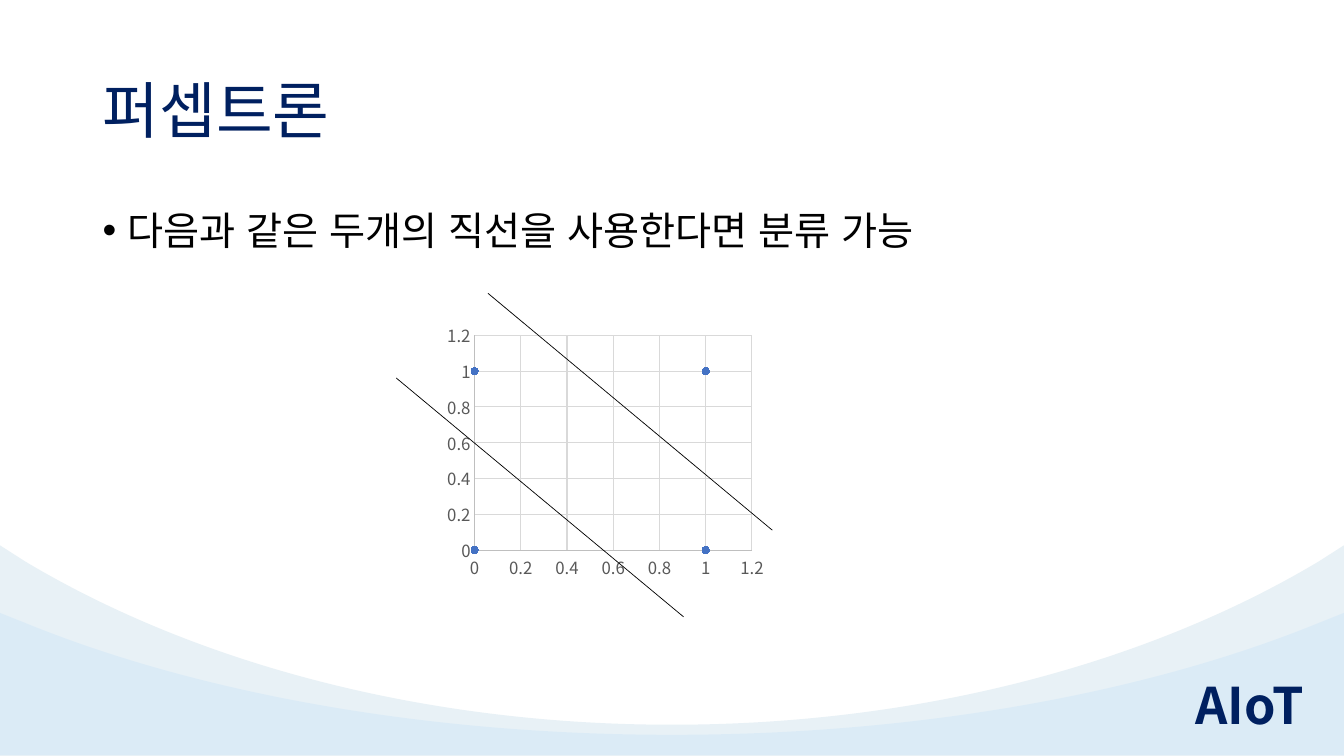
"""Build the perceptron slide: two lines separating four scatter points."""
from dataclasses import dataclass

from lxml import etree
from pptx import Presentation
from pptx import util as u
from pptx.chart.data import XyChartData
from pptx.dml.color import RGBColor
from pptx.enum import chart as ch, lang, shapes, text
from pptx.oxml.ns import qn

FONT = "Noto Sans CJK KR"
NAVY = RGBColor(0x00, 0x20, 0x60)
BLACK = RGBColor(0x00, 0x00, 0x00)
PALE = RGBColor(0xE8, 0xF1, 0xF6)
SKY = RGBColor(0x7A, 0xC2, 0xF9)
BLUE = RGBColor(0x44, 0x72, 0xC4)
LABEL = RGBColor(0x59, 0x59, 0x59)
AXIS = RGBColor(0xBF, 0xBF, 0xBF)
GRID = RGBColor(0xD9, 0xD9, 0xD9)
WIDTH, HEIGHT = 13.33, 7.5


@dataclass(frozen=True)
class Wave:
    edge: float
    shoulder: float
    control: float
    trough: float
    bottom: float
    color: RGBColor
    alpha: int = 100


@dataclass(frozen=True)
class Divider:
    x1: float
    y1: float
    x2: float
    y2: float


WAVES = (
    Wave(5.41, 5.57, 6.58, 7.19, 7.5, PALE),
    Wave(6.08, 6.18, 6.87, 7.29, 7.49, SKY, 11),
)
DIVIDERS = (Divider(3.93, 3.75, 6.78, 6.12), Divider(4.84, 2.91, 7.66, 5.26))
POINTS = ((0, 0), (0, 1), (1, 0), (1, 1))


def merge_curve(segments: list) -> None:
    """Turn three consecutive line segments into one cubic curve."""
    first = segments[0]
    curve = first.makeelement(qn("a:cubicBezTo"), {})
    first.addprevious(curve)
    for segment in segments:
        curve.append(segment[0])
        segment.getparent().remove(segment)


def add_wave(slide, wave: Wave) -> None:
    """Draw a band whose upper edge sags symmetrically."""
    left = [(0.25, wave.shoulder), (1.94, wave.control), (4.2, wave.trough)]
    right = [(WIDTH - x, y) for x, y in reversed(left)]
    outline = [*left, (WIDTH / 2, wave.trough), *right,
               (WIDTH, wave.edge), (WIDTH, wave.bottom), (0, wave.bottom)]
    fb = slide.shapes.build_freeform(0, u.Inches(wave.edge))
    fb.add_line_segments([(u.Inches(x), u.Inches(y)) for x, y in outline])
    sp = fb.convert_to_shape()
    segments = list(sp._element.iter(qn("a:lnTo")))
    merge_curve(segments[1:4])
    merge_curve(segments[4:7])
    sp.shadow.inherit = False
    sp.line.fill.background()
    sp.fill.solid()
    sp.fill.fore_color.rgb = wave.color
    if wave.alpha < 100:
        color = sp._element.spPr.find(".//" + qn("a:srgbClr"))
        etree.SubElement(color, qn("a:alpha"), val=str(wave.alpha * 1000))


def set_font(font, size: float, color: RGBColor, bold: bool = False) -> None:
    """Apply the typeface to Latin and East Asian text."""
    font.size, font.bold, font.name = u.Pt(size), bold, FONT
    font.color.rgb = color
    latin = font._element.find(qn("a:latin"))
    latin.addnext(latin.makeelement(qn("a:ea"), {"typeface": FONT}))


def add_text(slide, content: str, left: float, top: float, width: float,
             height: float, size: float, color: RGBColor,
             bold: bool = False, wrap: bool = True):
    """Add a one-paragraph text box and return its paragraph."""
    tf = slide.shapes.add_textbox(*map(u.Inches, (left, top, width, height))).text_frame
    tf.word_wrap = wrap
    p = tf.paragraphs[0]
    p.text = content
    set_font(p.font, size, color, bold)
    p.font._element.set("kern", "0")
    return p


def add_bullet(p) -> None:
    """Give the paragraph a hanging bullet."""
    pPr = p._p.get_or_add_pPr()
    indent = u.Inches(0.25)
    pPr.set("marL", str(indent))
    pPr.set("indent", str(-indent))
    defaults = pPr.find(qn("a:defRPr"))
    for tag, attrs in (("a:buFont", {"typeface": "Arial"}),
                       ("a:buChar", {"char": "•"})):
        defaults.addprevious(pPr.makeelement(qn(tag), attrs))


def style_axis(axis) -> None:
    """Format one chart axis with its grid."""
    axis.minimum_scale, axis.maximum_scale, axis.major_unit = 0, 1.2, 0.2
    axis.major_tick_mark = axis.minor_tick_mark = ch.XL_TICK_MARK.NONE
    axis.has_major_gridlines = True
    axis.tick_labels.number_format = "General"
    axis.tick_labels.number_format_is_linked = False
    set_font(axis.tick_labels.font, 12, LABEL)
    for line, color in ((axis.format.line, AXIS),
                        (axis.major_gridlines.format.line, GRID)):
        line.color.rgb = color
        line.width = u.Pt(0.75)


def add_scatter(slide) -> None:
    """Add the scatter chart of the four inputs."""
    data = XyChartData()
    series = data.add_series("Series 1")
    for x, y in POINTS:
        series.add_data_point(x, y)
    chart = slide.shapes.add_chart(
        ch.XL_CHART_TYPE.XY_SCATTER,
        *map(u.Inches, (4.37, 3.15, 3.27, 2.65)), data).chart
    chart.has_legend = chart.has_title = False
    set_font(chart.font, 10, BLACK)
    style_axis(chart.category_axis)
    style_axis(chart.value_axis)
    plot = chart.plots[0]
    plot.vary_by_categories = False
    dots = plot.series[0]
    dots.smooth = False
    dots.format.line.fill.background()
    dots.marker.style, dots.marker.size = ch.XL_MARKER_STYLE.CIRCLE, 5
    dots.marker.format.fill.solid()
    dots.marker.format.fill.fore_color.rgb = BLUE
    dots.marker.format.line.color.rgb = BLUE


def add_divider(slide, d: Divider) -> None:
    """Draw one separating line."""
    line = slide.shapes.add_connector(
        shapes.MSO_CONNECTOR.STRAIGHT, *map(u.Inches, (d.x1, d.y1, d.x2, d.y2)))
    line.line.color.rgb = BLACK
    line.line.width = u.Pt(0.5)
    etree.SubElement(line._element.spPr, qn("a:effectLst"))


def main() -> None:
    """Build and save the slide."""
    prs = Presentation()
    prs.slide_width, prs.slide_height = u.Inches(WIDTH), u.Inches(HEIGHT)
    s = prs.slides.add_slide(prs.slide_layouts[5])
    for wave in WAVES:
        add_wave(s, wave)
    add_text(s, "AIoT", 11.76, 6.64, 1.32, 0.71, 36, NAVY, bold=True, wrap=False)

    title = s.shapes.title
    title.left, title.top, title.width, title.height = map(
        u.Inches, (0.92, 0.4, 11.5, 1.45))
    tf = title.text_frame
    tf.vertical_anchor = text.MSO_ANCHOR.MIDDLE
    p = tf.paragraphs[0]
    p.text = "퍼셉트론"
    p.alignment = text.PP_ALIGN.LEFT
    p.line_spacing = 0.9
    set_font(p.font, 44, NAVY)

    p = add_text(s, "다음과 같은 두개의 직선을 사용한다면 분류 가능",
                 0.92, 2, 11.5, 4.76, 28, BLACK)
    p.space_before = u.Pt(10)
    p.font.language_id = lang.MSO_LANGUAGE_ID.KOREAN
    add_bullet(p)

    add_scatter(s)
    for divider in DIVIDERS:
        add_divider(s, divider)
    prs.save("out.pptx")


if __name__ == "__main__":
    main()
